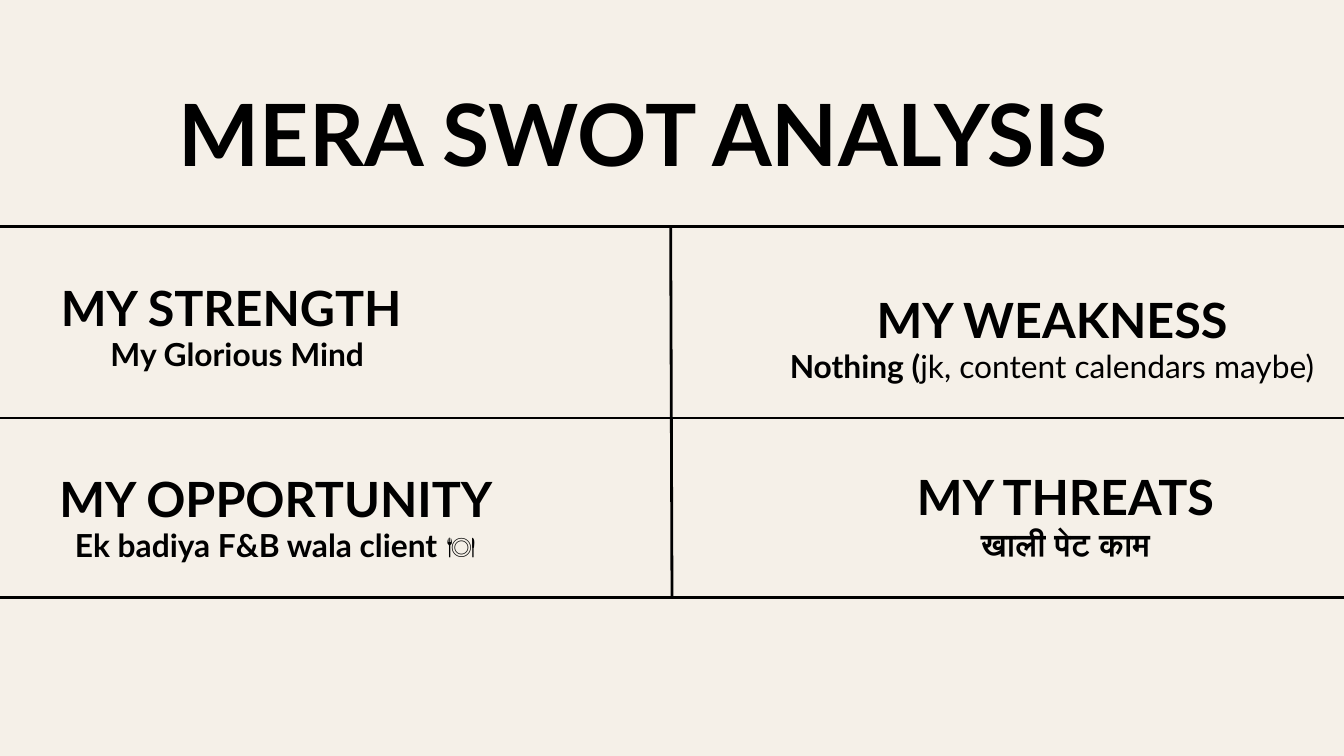
"""Build a four-quadrant SWOT slide laid out in percentages of the slide's size."""
from typing import NamedTuple

from lxml.etree import SubElement
from pptx import Presentation
from pptx.dml.color import RGBColor
from pptx.enum.shapes import MSO_CONNECTOR
from pptx.enum.text import MSO_ANCHOR, MSO_AUTO_SIZE, PP_ALIGN
from pptx.oxml.ns import qn
from pptx.util import Inches, Pt

WIDTH, HEIGHT = Inches(20), Inches(11.25)
INK, PAPER = "000000", "F5F0E8"
FONT = "Lato"
LEADING = 1.4
TITLE_SIZE, HEADING_SIZE, NOTE_SIZE = 92, 52, 34
HEADING_HEIGHT, NOTE_HEIGHT = 8.5, 5.55
TOP, MIDDLE, BOTTOM = 29.96, 55.29, 79.02


class Box(NamedTuple):
    left: float
    top: float
    width: float
    height: float


class Quadrant(NamedTuple):
    heading: str
    heading_box: Box
    note: str
    note_box: Box
    aside: str = ""


class Rule(NamedTuple):
    x1: float
    y1: float
    x2: float
    y2: float


QUADRANTS = [
    Quadrant("MY STRENGTH", Box(4.25, 35.47, 25.9, HEADING_HEIGHT),
             "My Glorious Mind", Box(7.5, 43.47, 20.3, NOTE_HEIGHT)),
    Quadrant("MY WEAKNESS", Box(65.05, 37.07, 26.45, HEADING_HEIGHT),
             "Nothing (", Box(56.55, 44.98, 43.45, NOTE_HEIGHT),
             aside="jk, content calendars maybe)"),
    Quadrant("MY OPPORTUNITY", Box(4.25, 60.8, 32.55, HEADING_HEIGHT),
             "Ek badiya F&B wala client 🍽️", Box(4.25, 68.71, 32.55, NOTE_HEIGHT)),
    Quadrant("MY THREATS", Box(67.9, 60.53, 22.75, HEADING_HEIGHT),
             "खाली पेट काम", Box(72.65, 68.53, 13.25, NOTE_HEIGHT)),
]
RULES = [Rule(0, y, 100, y) for y in (TOP, MIDDLE, BOTTOM)] + [Rule(50, BOTTOM, 49.9, TOP)]


def rgb(color: str) -> RGBColor:
    return RGBColor.from_string(color)


def across(share: float) -> int:
    return round(WIDTH * share / 100)


def down(share: float) -> int:
    return round(HEIGHT * share / 100)


def write(sp, box: Box, text: str, *, size: int, aside: str = "") -> None:
    sp.left, sp.width = across(box.left), across(box.width)
    sp.top, sp.height = down(box.top), down(box.height)
    tf = sp.text_frame
    tf.margin_left = tf.margin_right = tf.margin_top = tf.margin_bottom = 0
    tf.word_wrap = True
    tf.auto_size = MSO_AUTO_SIZE.SHAPE_TO_FIT_TEXT
    tf.vertical_anchor = MSO_ANCHOR.TOP
    p = tf.paragraphs[0]
    p.alignment = PP_ALIGN.CENTER
    p.line_spacing = Pt(size * LEADING)
    p.space_before = Pt(0)
    for words, bold in ((text, True), (aside, False)):
        if words:
            r = p.add_run()
            r.text = words
            r.font.name, r.font.size, r.font.bold = FONT, Pt(size), bold
            r.font.color.rgb = rgb(INK)


def add_text(s, box: Box, text: str, *, size: int, aside: str = "") -> None:
    write(s.shapes.add_textbox(0, 0, 0, 0), box, text, size=size, aside=aside)


def add_quadrant(s, q: Quadrant) -> None:
    add_text(s, q.heading_box, q.heading, size=HEADING_SIZE)
    add_text(s, q.note_box, q.note, size=NOTE_SIZE, aside=q.aside)


def add_rule(s, rule: Rule) -> None:
    line = s.shapes.add_connector(MSO_CONNECTOR.STRAIGHT, across(rule.x1), down(rule.y1),
                                  across(rule.x2), down(rule.y2))
    line.line.color.rgb = rgb(INK)
    line.line.width = Pt(3)
    SubElement(line._element.spPr, qn("a:effectLst"))


def main() -> None:
    prs = Presentation()
    prs.slide_width, prs.slide_height = WIDTH, HEIGHT
    s = prs.slides.add_slide(prs.slide_layouts.get_by_name("Title Only"))
    s.background.fill.solid()
    s.background.fill.fore_color.rgb = rgb(PAPER)
    write(s.shapes.title, Box(12.45, 8.36, 70.8, 15.2), "MERA SWOT ANALYSIS", size=TITLE_SIZE)
    for q in QUADRANTS:
        add_quadrant(s, q)
    for rule in RULES:
        add_rule(s, rule)
    prs.save("out.pptx")


if __name__ == "__main__":
    main()
